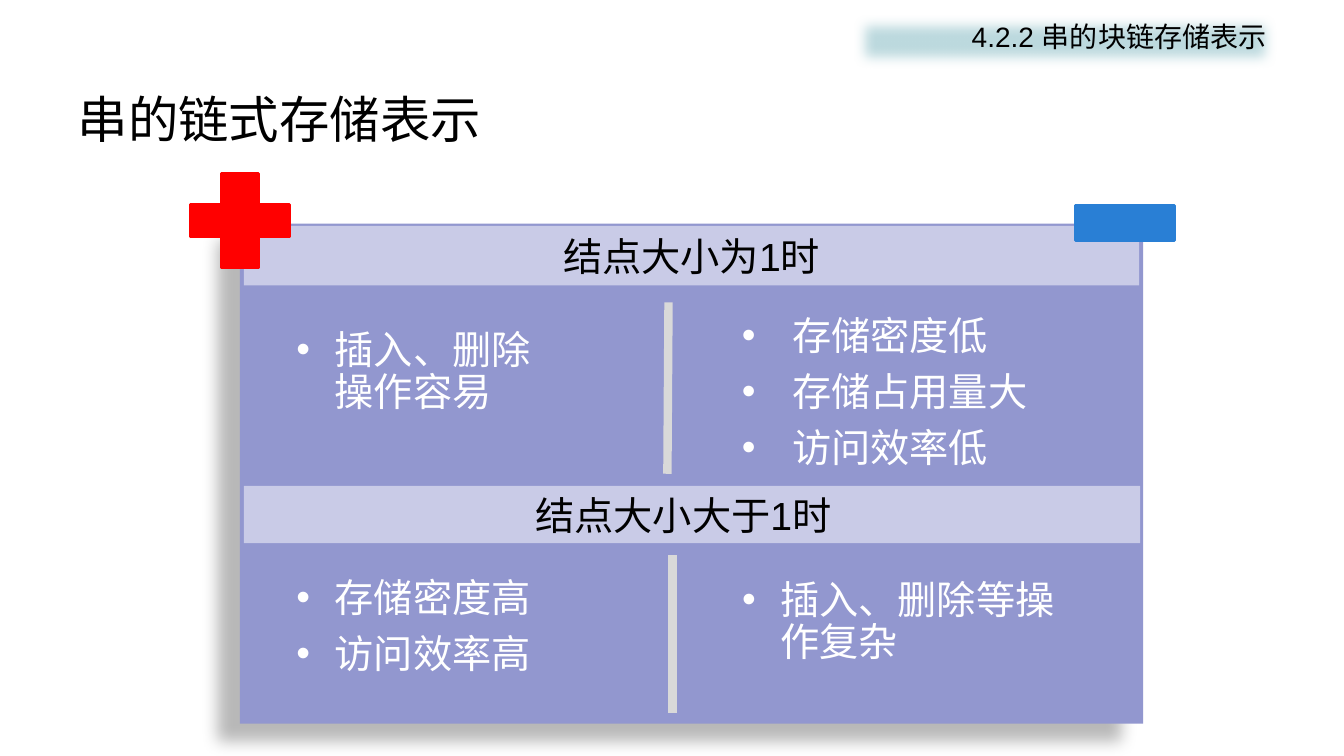
from dataclasses import dataclass

from lxml import etree
from pptx import Presentation
from pptx.dml.color import RGBColor
from pptx.enum.shapes import MSO_CONNECTOR, MSO_SHAPE
from pptx.enum.text import MSO_ANCHOR, PP_ALIGN
from pptx.oxml import parse_xml
from pptx.oxml.ns import nsdecls, qn
from pptx.util import Inches, Pt

RECTANGLE, CROSS = MSO_SHAPE.RECTANGLE, MSO_SHAPE.CROSS
STRAIGHT = MSO_CONNECTOR.STRAIGHT
TOP, MIDDLE = MSO_ANCHOR.TOP, MSO_ANCHOR.MIDDLE
LEFT, CENTER, RIGHT = PP_ALIGN.LEFT, PP_ALIGN.CENTER, PP_ALIGN.RIGHT


@dataclass(frozen=True)
class Theme:
    latin: str = "Arial"
    chinese: str = "Noto Sans CJK SC"
    title_size: int = 36
    section_size: int = 20
    body_size: int = 28
    dark: str = "000000"
    light: str = "FFFFFF"
    panel: str = "9297CF"
    band: str = "C9CBE7"
    divider: str = "D9D9D9"
    section: str = "BDDADF"
    plus: str = "FF0000"
    minus: str = "297FD5"


THEME = Theme()

# Lengths are percentages of the slide: left, top, width, height.
TITLE = ("串的链式存储表示", (5.03, 10.67, 90.02, 10))
SECTION = ("4.2.2 串的块链存储表示", (63.47, 1.87, 31.51, 7.2))
PANEL = (17.85, 29.6, 67.2, 66.13)
BANDS = [
    ("结点大小为1时", (18.15, 29.87, 66.62, 7.87), 0.1),
    ("结点大小大于1时", (18.15, 64.27, 66.69, 7.6), 0.27),
]
DIVIDERS = [(49.74, 40, 49.66, 62.67), (50.04, 73.47, 50.04, 94.27)]
SIGNS = [
    (CROSS, (14.18, 22.93, 7.35, 12.53), THEME.plus),
    (RECTANGLE, (80.05, 27.2, 7.35, 4.67), THEME.minus),
]
PROS_LEFT, CONS_LEFT = 21.61, 54.76
LISTS = [
    (["插入、删除操作容易"], (PROS_LEFT, 42.93, 20.93, 12.93), 0.38),
    (["存储密度低", "存储占用量大", "访问效率低"], (CONS_LEFT, 41.07, 27.38, 20.8), 0.5),
    (["存储密度高", "访问效率高"], (PROS_LEFT, 75.73, 21.98, 16), 0.38),
    (["插入、删除等操作复杂"], (CONS_LEFT, 76, 25.28, 15.73), 0.38),
]

deck = Presentation()
deck.slide_width, deck.slide_height = Inches(13.33), Inches(7.5)
page = deck.slides.add_slide(deck.slide_layouts[1])


def place(shares):
    sizes = (deck.slide_width, deck.slide_height) * 2
    return [round(size * share / 100) for size, share in zip(sizes, shares)]


def move(shape, shares):
    shape.left, shape.top, shape.width, shape.height = place(shares)


def paint(shape, color):
    shape.fill.solid()
    shape.fill.fore_color.rgb = RGBColor.from_string(color)


def set_effect(shape, effect=""):
    properties = shape._element.spPr
    for old in properties.findall(qn("a:effectLst")):
        properties.remove(old)
    properties.append(parse_xml(f"<a:effectLst {nsdecls('a')}>{effect}</a:effectLst>"))


def style(para, size, color, latin=THEME.latin, align=LEFT):
    para.alignment = align
    para.font.name = latin
    para.font.size = Pt(size)
    para.font.color.rgb = RGBColor.from_string(color)
    defaults = para._p.pPr.find(qn("a:defRPr"))
    etree.SubElement(defaults, qn("a:ea")).set("typeface", THEME.chinese)


def set_bullet(para, indent=0.0, mark=None):
    properties = para._p.get_or_add_pPr()
    properties.set("marL", str(Inches(indent)))
    properties.set("indent", str(-Inches(indent)))
    if mark:
        etree.SubElement(properties, qn("a:buFont")).set("typeface", THEME.latin)
        etree.SubElement(properties, qn("a:buChar")).set("char", mark)
    else:
        etree.SubElement(properties, qn("a:buNone"))


def add_block(kind, shares, color):
    shape = page.shapes.add_shape(kind, *place(shares))
    shape.shadow.inherit = False
    paint(shape, color)
    shape.line.fill.background()
    return shape


def add_title():
    text, shares = TITLE
    title = page.shapes.title
    move(title, shares)
    title.text_frame.text = text
    title.text_frame.vertical_anchor = MIDDLE
    style(title.text_frame.paragraphs[0], THEME.title_size, THEME.dark, THEME.chinese)


def add_section():
    text, shares = SECTION
    section = page.placeholders[1]
    move(section, shares)
    paint(section, THEME.section)
    set_effect(section, f'<a:softEdge rad="{Inches(0.12)}"/>')
    section.text_frame.text = text
    section.text_frame.vertical_anchor = TOP
    para = section.text_frame.paragraphs[0]
    para.space_before = Pt(THEME.section_size * 0.2)
    set_bullet(para)
    style(para, THEME.section_size, THEME.dark, align=RIGHT)


def add_panel():
    panel = add_block(RECTANGLE, PANEL, THEME.panel)
    set_effect(
        panel,
        f'<a:outerShdw blurRad="{Pt(11.8)}" dist="{Pt(19.7)}" dir="{141 * 60000}" '
        f'rotWithShape="0"><a:srgbClr val="{THEME.dark}"><a:alpha val="28000"/>'
        "</a:srgbClr></a:outerShdw>",
    )


def add_band(text, shares, right_margin):
    frame = add_block(RECTANGLE, shares, THEME.band).text_frame
    frame.margin_top = frame.margin_bottom = 0
    frame.margin_right = Inches(right_margin)
    frame.vertical_anchor = MIDDLE
    frame.text = text
    style(frame.paragraphs[0], THEME.body_size, THEME.dark, align=CENTER)


def add_divider(ends):
    divider = page.shapes.add_connector(STRAIGHT, *place(ends))
    divider.line.color.rgb = RGBColor.from_string(THEME.divider)
    divider.line.width = Pt(6)
    set_effect(divider)


def add_sign(kind, shares, color):
    sign = add_block(kind, shares, color)
    sign.line.color.rgb = RGBColor.from_string(color)
    sign.line.width = Pt(2)
    if kind == CROSS:
        sign.adjustments[0] = 0.328


def add_list(items, shares, indent):
    frame = page.shapes.add_textbox(*place(shares)).text_frame
    frame.word_wrap = True
    frame.margin_left = frame.margin_right = Inches(0.06)
    frame.margin_top = frame.margin_bottom = Inches(0.06)
    frame.text = "\n".join(items)
    for para in frame.paragraphs:
        para.line_spacing = 0.9
        para.space_after = Pt(THEME.body_size * 0.35)
        set_bullet(para, indent, "•")
        style(para, THEME.body_size, THEME.light)


add_title()
add_section()
add_panel()
for band in BANDS:
    add_band(*band)
for ends in DIVIDERS:
    add_divider(ends)
for sign in SIGNS:
    add_sign(*sign)
for points in LISTS:
    add_list(*points)

deck.save("out.pptx")
